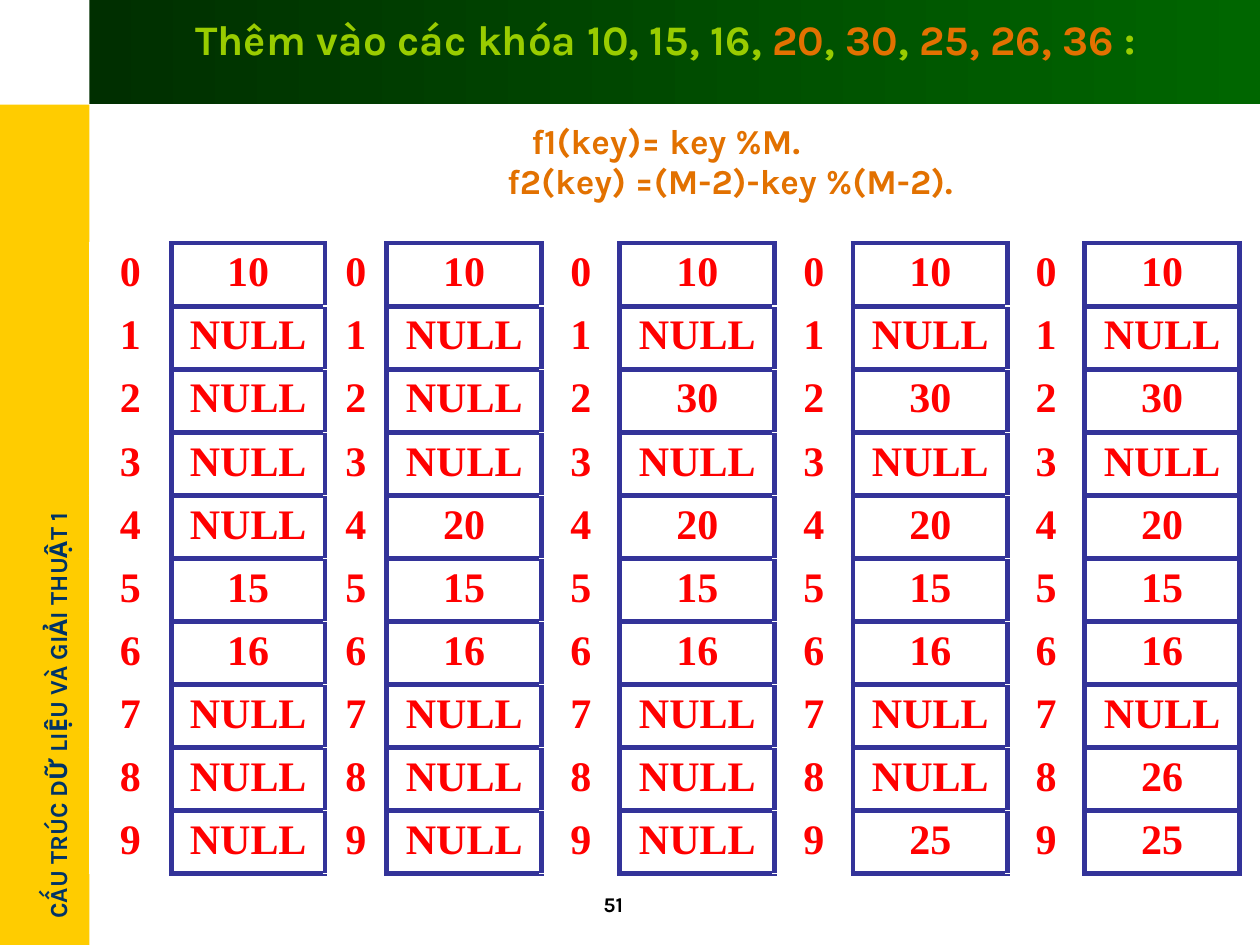
import pptx
import pptx.util
import pptx.dml.color
import pptx.enum.shapes
import pptx.enum.text
import pptx.oxml.ns
from lxml import etree

Inches, Pt = pptx.util.Inches, pptx.util.Pt
RGB = pptx.dml.color.RGBColor
ALIGN = pptx.enum.text.PP_ALIGN
RECT = pptx.enum.shapes.MSO_SHAPE.RECTANGLE

GOLD = RGB(0xFF, 0xCC, 0x00)
NAVY = RGB(0x00, 0x33, 0x66)
DARK = RGB(0x00, 0x2F, 0x00)
GREEN = RGB(0x00, 0x66, 0x00)
LIME = RGB(0x99, 0xCC, 0x00)
ORANGE = RGB(0xE2, 0x71, 0x00)
RED = RGB(0xFF, 0x00, 0x00)
BLUE = RGB(0x33, 0x33, 0x99)
BLACK = RGB(0, 0, 0)

# Content
COURSE = "CẤU TRÚC DỮ LIỆU VÀ GIẢI THUẬT 1"
PAGE = "51"
HEAD = [
    ("Thêm vào các khóa 10, 15, 16,", LIME), (" 20", ORANGE), (", ", LIME),
    ("30", ORANGE), (", ", LIME), ("25, 26, 36", ORANGE), (" :", LIME),
]
# Formula, space before in points, left indent in inches
RULES = [
    ("f1(key)= key %M.", 36, 0),
    ("f2(key) =(M-2)-key %(M-2).", 4, 1.02),
]
SIZE = 10
START = {0: 10, 5: 15, 6: 16}
STEPS = [{}, {4: 20}, {2: 30}, {9: 25}, {8: 26}]  # keys added at each stage
KEY_W = [0.65, 0.49, 0.62, 0.62, 0.61]
SLOT_W = [1.22, 1.23, 1.23, 1.23, 1.23]
ROW_H = 0.5


def style(font, size, color, name="Karla"):
    font.name, font.size, font.bold = name, Pt(size), True
    font.color.rgb = color


def add_rect(slide, *box):
    shape = slide.shapes.add_shape(RECT, *map(Inches, box))
    shape.shadow.inherit = False
    shape.line.fill.background()
    return shape


def add_label(slide, box, text, size, color, wrap=True):
    label = slide.shapes.add_textbox(*map(Inches, box))
    label.text_frame.word_wrap = wrap
    para = label.text_frame.paragraphs[0]
    para.text = text
    style(para.font, size, color)
    return label


def add_edges(cell, sides):
    props = cell._tc.get_or_add_tcPr()
    for side in sides:
        line = etree.SubElement(props, pptx.oxml.ns.qn("a:ln" + side), w=str(Pt(3)))
        fill = etree.SubElement(line, pptx.oxml.ns.qn("a:solidFill"))
        etree.SubElement(fill, pptx.oxml.ns.qn("a:srgbClr"), val=str(BLUE))


def fill_cell(cell, text, sides):
    para = cell.text_frame.paragraphs[0]
    para.text = str(text)
    para.alignment = ALIGN.CENTER
    style(para.font, 24, RED, "Times New Roman")
    add_edges(cell, sides)
    cell.fill.background()


def add_hash(slide):
    widths = [w for pair in zip(KEY_W, SLOT_W) for w in pair]
    frame = slide.shapes.add_table(
        SIZE, len(widths), Inches(0.71), Inches(1.93),
        Inches(sum(widths)), Inches(SIZE * ROW_H))
    table = frame.table
    table.first_row = table.horz_banding = False
    for col, width in zip(table.columns, widths):
        col.width = Inches(width)
    for row in table.rows:
        row.height = Inches(ROW_H)
    slots = dict(START)
    for i, step in enumerate(STEPS):
        slots.update(step)
        for r in range(SIZE):
            fill_cell(table.cell(r, 2 * i), r, "LR" if i else "R")
            fill_cell(table.cell(r, 2 * i + 1), slots.get(r, "NULL"), "LRTB")


def add_title(slide):
    title = slide.shapes.title
    title.left, title.top, title.width, title.height = map(
        Inches, (1.03, 0.06, 8.51, 2.05))
    frame = title.text_frame
    frame.word_wrap = True
    frame.auto_size = pptx.enum.text.MSO_AUTO_SIZE.NONE
    frame.vertical_anchor = pptx.enum.text.MSO_ANCHOR.TOP
    para = frame.paragraphs[0]
    para.alignment = ALIGN.CENTER
    for text, color in HEAD:
        run = para.add_run()
        run.text = text
        style(run.font, 24, color)
    for text, gap, indent in RULES:
        para = frame.add_paragraph()
        para.text = text
        para.alignment = ALIGN.CENTER
        para.line_spacing = 0.8
        para.space_before = Pt(gap)
        para._p.get_or_add_pPr().set("marL", str(Inches(indent)))
        style(para.font, 20, ORANGE)
    # Bring the title in front of the banner
    title.element.getparent().append(title.element)


def main():
    deck = pptx.Presentation()
    deck.slide_width, deck.slide_height = Inches(10), Inches(7.5)
    slide = deck.slides.add_slide(deck.slide_layouts[5])

    # Side bar with course name
    bar = add_rect(slide, 0, 0.83, 0.71, 6.67)
    bar.fill.solid()
    bar.fill.fore_color.rgb = GOLD
    course = add_label(slide, (-1.42, 5.34, 3.76, 0.34), COURSE, 14, NAVY, False)
    course.rotation = 270

    # Banner
    banner = add_rect(slide, 0.71, 0, 9.3, 0.83)
    banner.fill.gradient()
    banner.fill.gradient_angle = 0
    for stop, color, place in zip(banner.fill.gradient_stops, (DARK, GREEN), (0, 1)):
        stop.color.rgb = color
        stop.position = place

    # Page number, hash tables and heading
    add_label(slide, (4.69, 7.03, 0.77, 0.3), PAGE, 12, BLACK)
    add_hash(slide)
    add_title(slide)
    deck.save("out.pptx")


if __name__ == "__main__":
    main()
